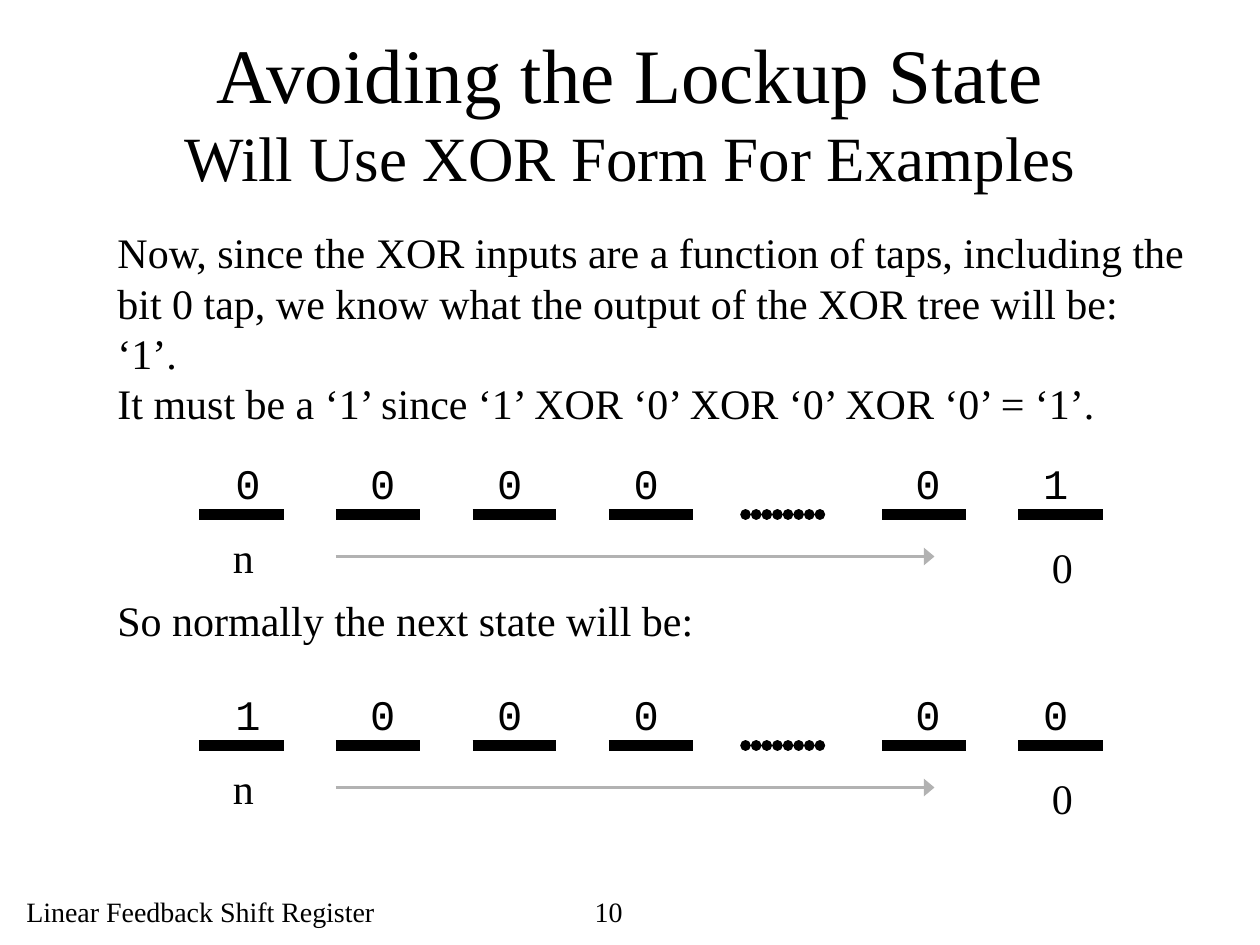
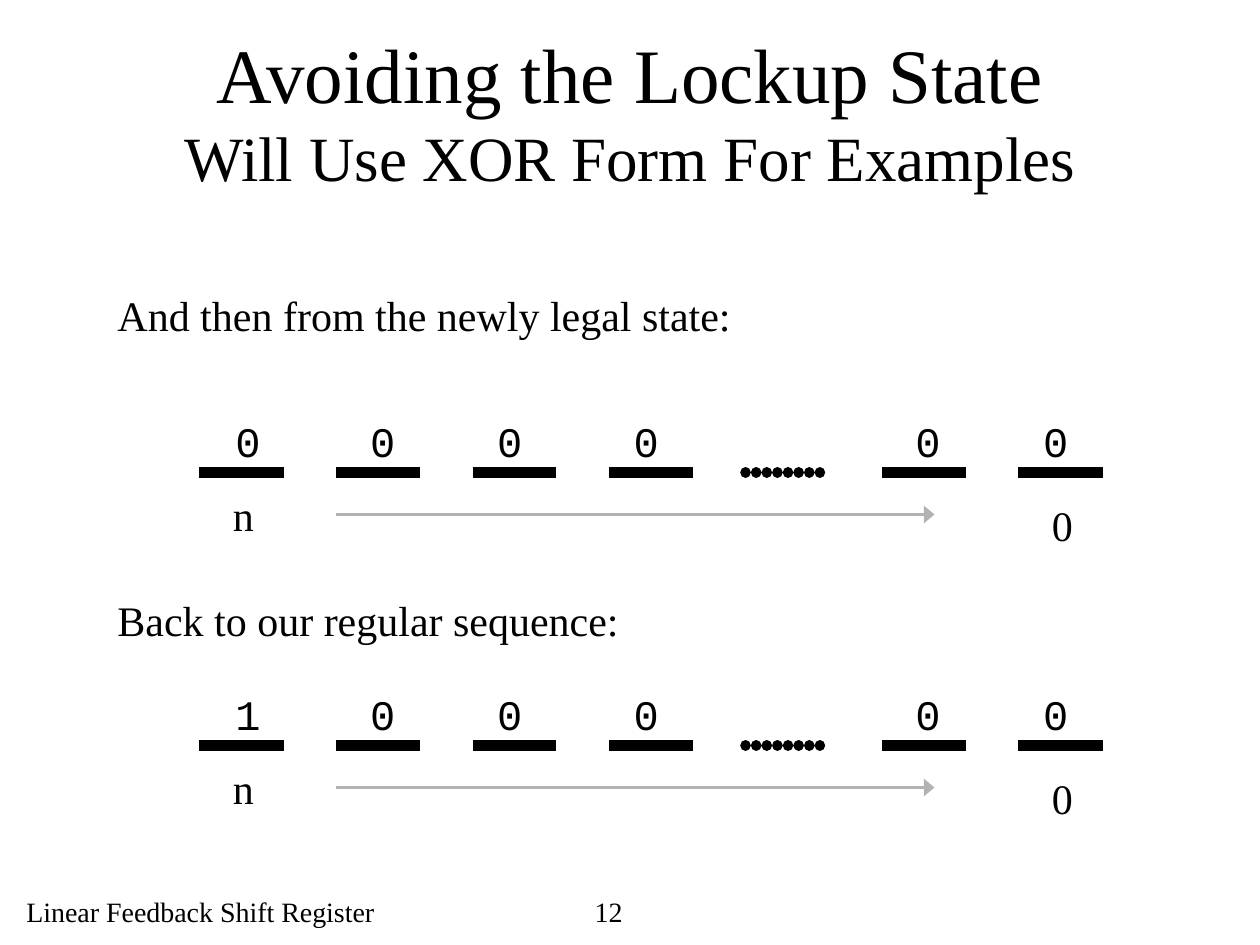
from lxml import etree
from pptx import Presentation
from pptx.dml.color import RGBColor
from pptx.enum.shapes import MSO_CONNECTOR
from pptx.enum.text import MSO_ANCHOR, MSO_AUTO_SIZE, PP_ALIGN
from pptx.oxml.ns import qn
from pptx.util import Pt

BLACK = RGBColor(0x00, 0x00, 0x00)
GRAY = RGBColor(0xB2, 0xB2, 0xB2)
SERIF = "Times New Roman"
MONO = "Courier New"

TITLE_LINES = [("Avoiding the Lockup State", 44), ("Will Use XOR Form For Examples", 36)]
FOOTER = "Linear Feedback Shift Register"

CELL_LEFT, CELL_PITCH, CELL_WIDTH = 114, 78, 48
CELL_COUNT, DOTTED_CELL = 7, 4
DIGIT_LEFTS = [127.5, 204.5, 277, 355, 516, 589]

# Page number, texts as (top, height, paragraphs), registers as (baseline, bits)
SLIDES = [
    (
        "10",
        [
            (126, 122.4, [
                "Now, since the XOR inputs are a function of taps, including the bit 0 tap, "
                "we know what the output of the XOR tree will be: ‘1’.",
                "It must be a ‘1’ since ‘1’ XOR ‘0’ XOR ‘0’ XOR ‘0’ = ‘1’.",
            ]),
            (336, 36, ["So normally the next state will be:"]),
        ],
        [(294, "000001"), (426, "100000")],
    ),
    (
        "12",
        [
            (162, 36, ["And then from the newly legal state:"]),
            (336, 36, ["Back to our regular sequence:"]),
        ],
        [(270, "000000"), (426, "100000")],
    ),
]


def add_text(slide, left, top, width, height, paragraphs, size=24, font=SERIF):
    box = slide.shapes.add_textbox(Pt(left), Pt(top), Pt(width), Pt(height))
    frame = box.text_frame
    frame.word_wrap = True
    for index, text in enumerate(paragraphs):
        paragraph = frame.add_paragraph() if index else frame.paragraphs[0]
        run = paragraph.add_run()
        run.text = text
        run.font.name = font
        run.font.size = Pt(size)
        run.font.color.rgb = BLACK


def add_line(slide, left, right, y, color, width):
    """Draw a horizontal line without shadow and return its a:ln element."""
    line = slide.shapes.add_connector(MSO_CONNECTOR.STRAIGHT, Pt(left), Pt(y), Pt(right), Pt(y))
    line.line.color.rgb = color
    line.line.width = Pt(width)
    properties = line._element.spPr
    etree.SubElement(properties, qn("a:effectLst"))
    return properties.find(qn("a:ln"))


presentation = Presentation()
presentation.slide_width = Pt(720)
presentation.slide_height = Pt(540)

for page_number, texts, registers in SLIDES:
    slide = presentation.slides.add_slide(presentation.slide_layouts[5])

    title = slide.shapes.title
    title.left, title.top, title.width, title.height = Pt(54), Pt(18), Pt(612), Pt(90)
    title.text_frame.auto_size = MSO_AUTO_SIZE.NONE
    title.text_frame.vertical_anchor = MSO_ANCHOR.MIDDLE
    paragraph = title.text_frame.paragraphs[0]
    paragraph.alignment = PP_ALIGN.CENTER
    for index, (text, size) in enumerate(TITLE_LINES):
        if index:
            paragraph.add_line_break()
        run = paragraph.add_run()
        run.text = text
        run.font.name = SERIF
        run.font.size = Pt(size)
        run.font.color.rgb = BLACK

    add_text(slide, 8, 507.5, 220, 26.5, [FOOTER], size=16)
    add_text(slide, 332.75, 507.5, 80.5, 26.5, [page_number], size=16)

    for top, height, paragraphs in texts:
        add_text(slide, 60, top, 624, height, paragraphs)

    for baseline, bits in registers:
        for cell in range(CELL_COUNT):
            left = CELL_LEFT + cell * CELL_PITCH
            outline = add_line(slide, left, left + CELL_WIDTH, baseline, BLACK, 6)
            if cell == DOTTED_CELL:
                outline.set("cap", "rnd")
                dash = etree.SubElement(outline, qn("a:custDash"))
                etree.SubElement(dash, qn("a:ds"), d="1000", sp="100000")

        shift_arrow = add_line(slide, 192, 534, baseline + 24, GRAY, 2)
        etree.SubElement(shift_arrow, qn("a:tailEnd"), type="triangle", w="lg", len="med")

        add_text(slide, 594, baseline + 12, 26, 36, ["0"])
        add_text(slide, 126, baseline + 6, 26, 36, ["n"])
        for left, bit in zip(DIGIT_LEFTS, bits):
            add_text(slide, left, baseline - 36, 28.8, 36, [bit], font=MONO)

presentation.save("out.pptx")
